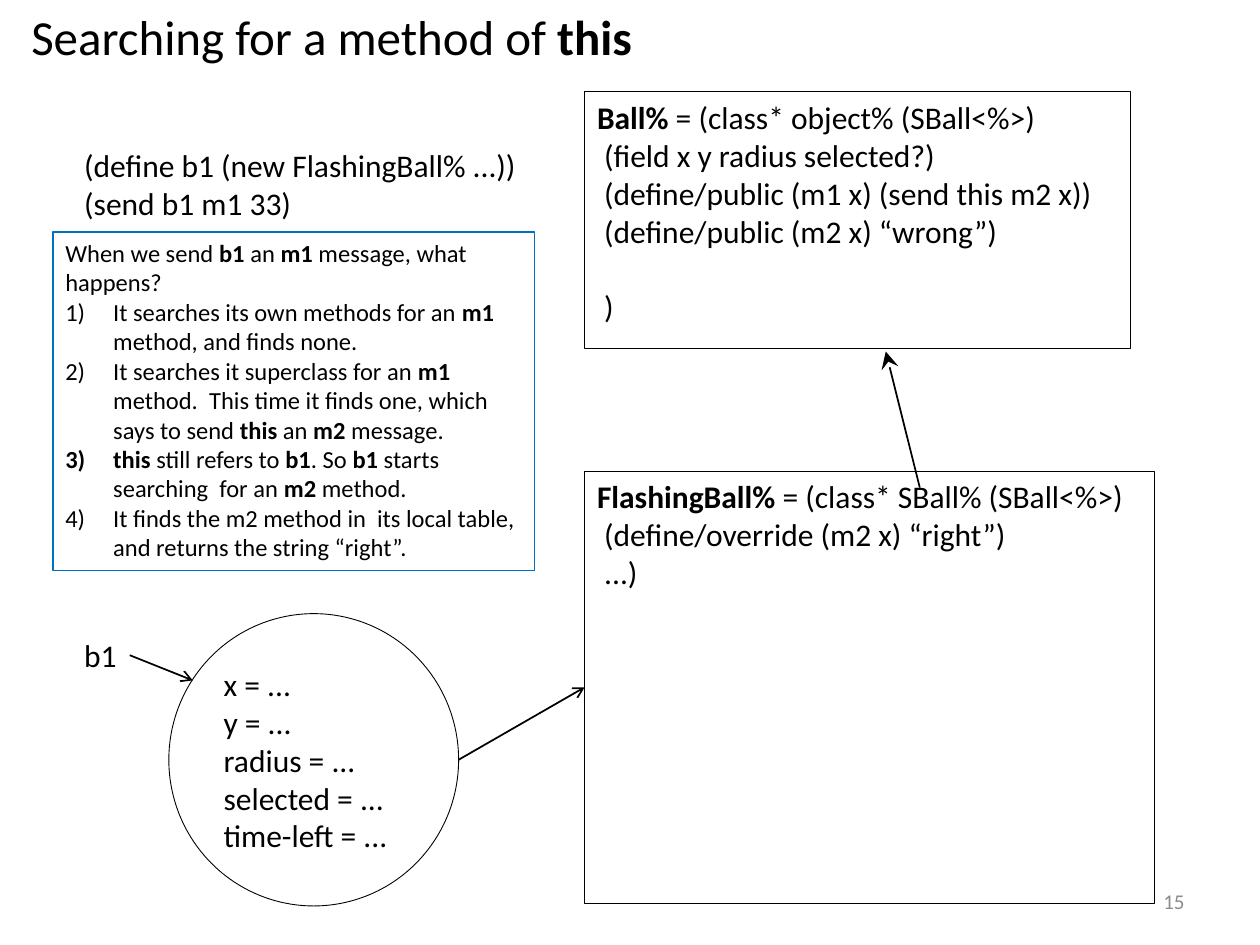
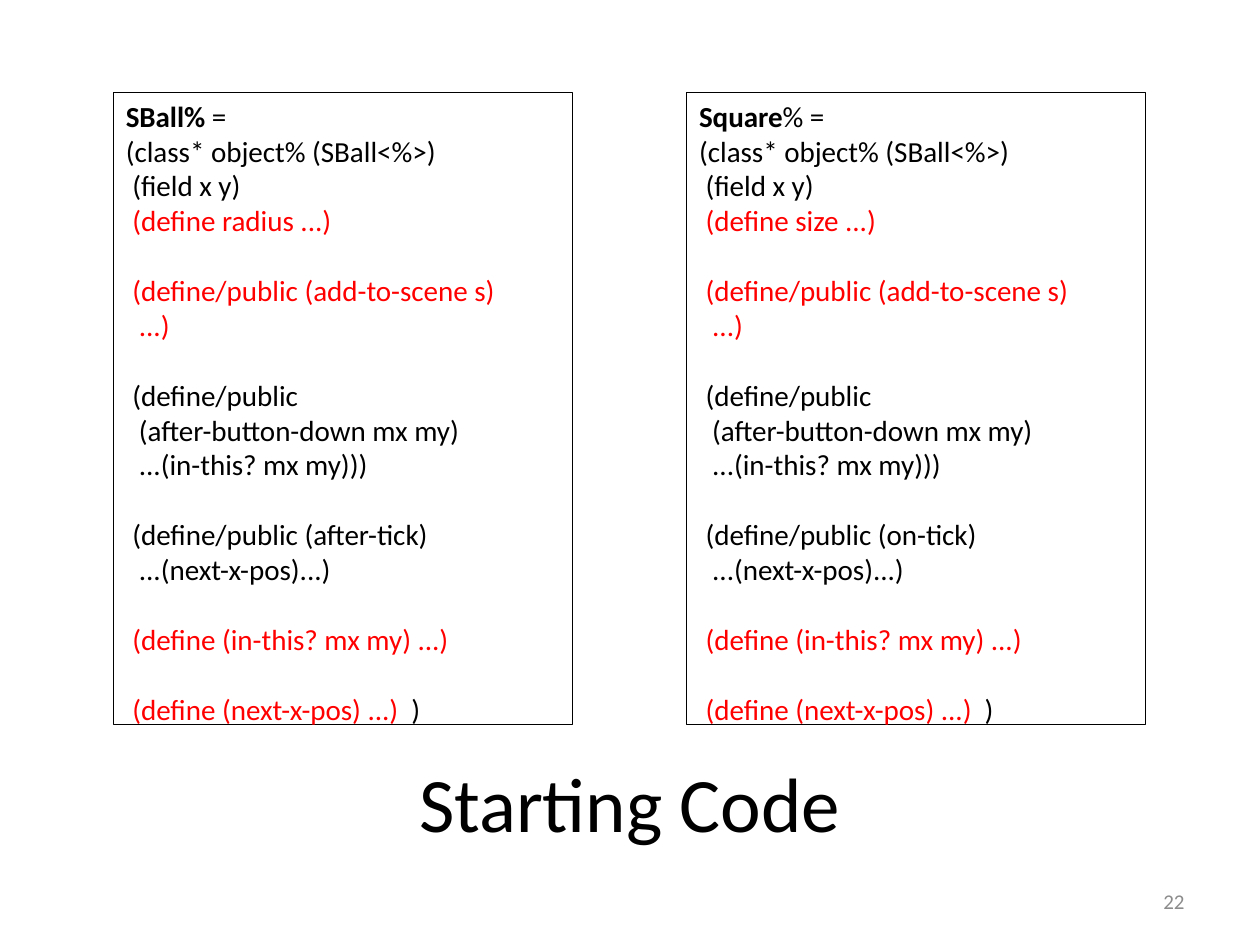
from lxml import etree
from pptx import Presentation, util as u
from pptx.dml.color import RGBColor
from pptx.enum import shapes, text
from pptx.oxml import ns

# Shared style
BLACK = RGBColor(0x00, 0x00, 0x00)
RED = RGBColor(0xFF, 0x00, 0x00)
BLUE = RGBColor(0x00, 0x70, 0xC0)
GREY = RGBColor(0x8C, 0x8C, 0x8C)
FONT = "Calibri"
LINE_HEIGHT = 1.2
BOLD_MARK, RED_MARK = "_", "^"  # each mark switches its format on and off
LEFT_SIDE, RIGHT_SIDE = 1, 3
RECTANGLE, OVAL = shapes.MSO_SHAPE.RECTANGLE, shapes.MSO_SHAPE.OVAL
TOP, MIDDLE = text.MSO_ANCHOR.TOP, text.MSO_ANCHOR.MIDDLE

# The grid has 100 columns and 75 rows
WIDTH, HEIGHT = u.Inches(10), u.Inches(7.5)
COLUMNS, ROWS = 100, 75


def grid(*places):
    """Turn alternating columns and rows into lengths."""
    cells = (WIDTH / COLUMNS, HEIGHT / ROWS)
    return [round(place * cells[i % 2]) for i, place in enumerate(places)]


class Deck:
    def __init__(self):
        self.presentation = Presentation()
        self.presentation.slide_width = WIDTH
        self.presentation.slide_height = HEIGHT
        self.slide = None

    def new_slide(self, number):
        self.slide = self.presentation.slides.add_slide(self.presentation.slide_layouts[6])
        self.label((71.7, 69.5, 23.3, 4), [str(number)], size=12, color=GREY,
                   align=text.PP_ALIGN.RIGHT, anchor=MIDDLE)

    def fill_text(self, shape, lines, size=18, color=BLACK, align=text.PP_ALIGN.LEFT,
                  anchor=TOP, wrap=True, grow=False, numbered_from=None):
        """Fill a shape; an empty line becomes space before the next one."""
        fit = text.MSO_AUTO_SIZE.SHAPE_TO_FIT_TEXT if grow else text.MSO_AUTO_SIZE.NONE
        frame = shape.text_frame
        for name, value in {"word_wrap": wrap, "auto_size": fit, "vertical_anchor": anchor}.items():
            setattr(frame, name, value)
        filled = [i for i, line in enumerate(lines) if line]
        for i in filled:
            paragraph = frame.paragraphs[0] if i == filled[0] else frame.add_paragraph()
            if numbered_from is not None and i >= numbered_from:
                self.number(paragraph)
            paragraph.alignment = align
            if i and not lines[i - 1]:
                paragraph.space_before = u.Pt(size * LINE_HEIGHT)
            for k, part in enumerate(lines[i].split(RED_MARK)):
                for j, piece in enumerate(part.split(BOLD_MARK)):
                    if piece:
                        run = paragraph.add_run()
                        run.text = piece
                        formats = {"name": FONT, "size": u.Pt(size), "bold": j % 2 == 1}
                        for name, value in formats.items():
                            setattr(run.font, name, value)
                        run.font.color.rgb = RED if k % 2 else color

    def number(self, paragraph):
        properties = paragraph._p.get_or_add_pPr()
        indent = u.Inches(0.38)
        properties.set("marL", str(indent))
        properties.set("indent", str(-indent))
        etree.SubElement(properties, ns.qn("a:buFont"), typeface="+mj-lt")
        etree.SubElement(properties, ns.qn("a:buAutoNum"), type="arabicParenR")

    def label(self, place, lines, **style):
        shape = self.slide.shapes.add_textbox(*grid(*place))
        self.fill_text(shape, lines, **style)
        return shape

    def box(self, place, lines, kind=RECTANGLE, line=BLACK, weight=0.5, **style):
        shape = self.slide.shapes.add_shape(kind, *grid(*place))
        shape.shadow.inherit = False
        shape.fill.background()
        shape.line.color.rgb = line
        shape.line.width = u.Pt(weight)
        self.fill_text(shape, lines, **style)
        return shape

    def arrow(self, start, end, head="arrow", head_size="med", source=None, target=None):
        connector = self.slide.shapes.add_connector(
            shapes.MSO_CONNECTOR.STRAIGHT, *grid(*start, *end))
        if source is not None:
            connector.begin_connect(source, RIGHT_SIDE)
        if target is not None:
            connector.end_connect(target, LEFT_SIDE)
        connector.line.color.rgb = BLACK
        connector.line.width = u.Pt(1)
        etree.SubElement(connector.line._get_or_add_ln(), ns.qn("a:tailEnd"),
                         type=head, w=head_size, len=head_size)
        etree.SubElement(connector._element.spPr, ns.qn("a:effectLst"))


def method_search(deck):
    deck.new_slide(15)
    deck.label((1.5, 0, 56, 5.7), ["Searching for a method of _this_"], size=28)

    # Classes
    deck.box((46.4, 7.3, 43.3, 20.4), [
        "_Ball%_ = (class* object% (SBall<%>)",
        " (field x y radius selected?)",
        " (define/public (m1 x) (send this m2 x))",
        " (define/public (m2 x) “wrong”)",
        "",
        " )"])
    flashing_ball = deck.box((46.4, 37.4, 45.2, 34.3), [
        "_FlashingBall%_ = (class* SBall% (SBall<%>)",
        " (define/override (m2 x) “right”)",
        " ...)"])
    deck.arrow((73, 38.7), (70.3, 27.9), head="stealth", head_size="lg")

    # Call and its explanation
    deck.label((5.7, 11.1, 36.7, 7.1),
               ["(define b1 (new FlashingBall% ...))", "(send b1 m1 33)"],
               wrap=False, grow=True)
    deck.box((4.2, 18.4, 38.2, 26.9), [
        "When we send _b1_ an _m1_ message, what happens?",
        "It searches its own methods for an _m1_ method, and finds none.",
        "It searches it superclass for an _m1_ method.  This time it finds one, "
        "which says to send _this_ an _m2_ message.",
        "_this_ still refers to _b1_. So _b1_ starts searching  for an _m2_ method.",
        "It finds the m2 method in  its local table, and returns the string “right”."],
        line=BLUE, weight=0.75, size=14, numbered_from=1)

    # Object b1
    deck.box((13.4, 48.7, 23, 23.2),
             [f"{field} = ..." for field in ("x", "y", "radius", "selected", "time-left")],
             kind=OVAL, anchor=MIDDLE)
    name = deck.label((5.7, 50, 4.6, 4), ["b1"], wrap=False, grow=True)
    deck.arrow((10.3, 52), (15.3, 54), source=name)
    deck.arrow((36.4, 60.3), (46.4, 54.5), target=flashing_ball)


def class_code(heading, dimension, tick):
    return [
        heading,
        "(class* object% (SBall<%>)",
        " (field x y)",
        f"^ (define {dimension} ...)^",
        "",
        "^ (define/public (add-to-scene s)^",
        "^  ...)^",
        "",
        " (define/public",
        "  (after-button-down mx my)",
        "  ...(in-this? mx my)))",
        "",
        f" (define/public ({tick})",
        "  ...(next-x-pos)...)",
        "",
        "^ (define (in-this? mx my) ...)^",
        "",
        "^ (define (next-x-pos) ...)  ^)"]


def starting_code(deck):
    deck.new_slide(22)
    classes = [("_SBall%_ =", "radius", "after-tick"), ("_Square_% =", "size", "on-tick")]
    for i, parts in enumerate(classes):
        deck.box((9 + 45.5 * i, 7.3, 36.4, 50.2), class_code(*parts), size=16.6)
    deck.label((5, 59.5, 90, 12.5), ["Starting Code"], size=44, align=text.PP_ALIGN.CENTER)


def main():
    deck = Deck()
    method_search(deck)
    starting_code(deck)
    deck.presentation.save("out.pptx")


if __name__ == "__main__":
    main()
